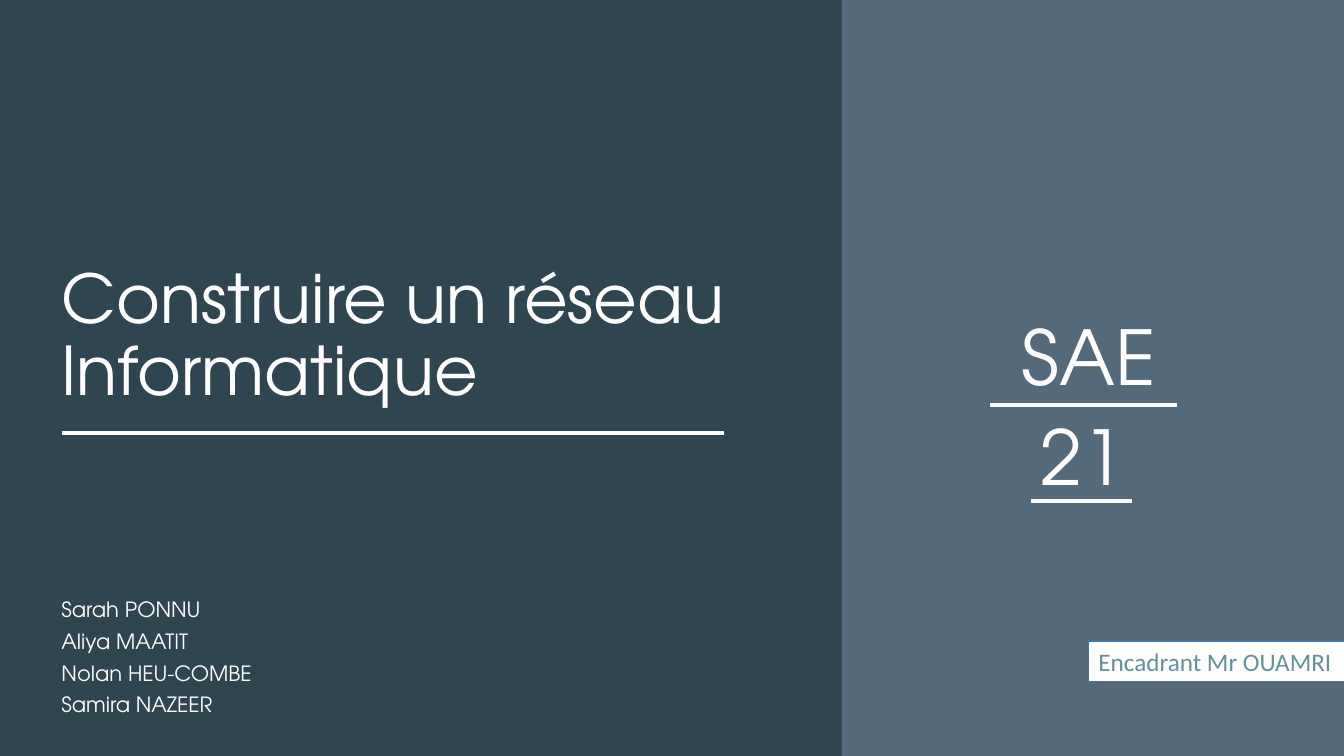
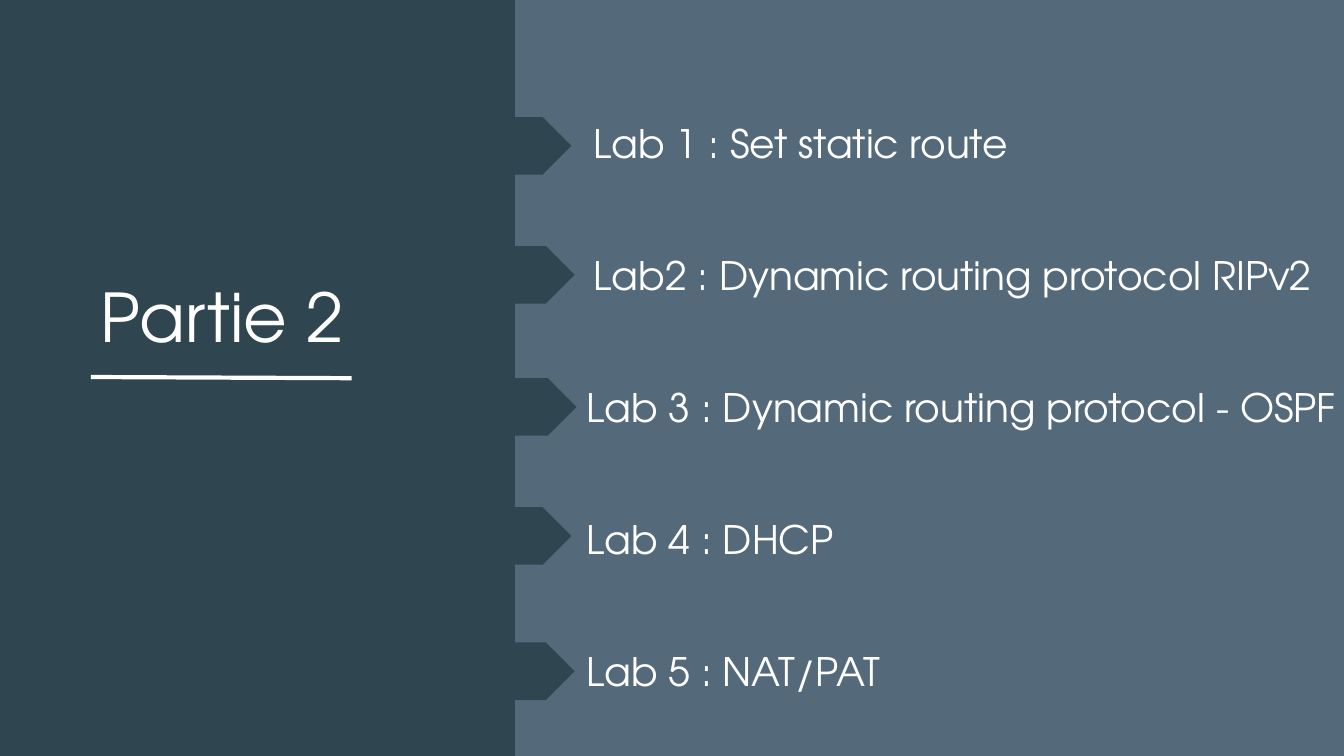
from dataclasses import dataclass

from lxml.etree import SubElement
from pptx import Presentation
from pptx.dml.color import RGBColor
from pptx.enum.shapes import MSO_CONNECTOR, MSO_SHAPE
from pptx.enum.text import MSO_ANCHOR, PP_ALIGN
from pptx.oxml.ns import qn
from pptx.util import Cm, Pt


@dataclass(frozen=True)
class Theme:
    background: RGBColor = RGBColor(0x54, 0x6A, 0x7B)
    band: RGBColor = RGBColor(0x2F, 0x45, 0x50)
    light: RGBColor = RGBColor(0xFF, 0xFF, 0xFF)
    tag_text: RGBColor = RGBColor(0x62, 0x92, 0x9E)
    tag_border: RGBColor = RGBColor(0x44, 0x72, 0xC4)
    font: str = "TeX Gyre Adventor"
    tag_font: str = "Calibri"
    code_size: int = 54
    title_size: int = 48
    lab_size: int = 28
    tag_size: int = 18
    author_size: int = 15
    rule_width: int = 3


THEME = Theme()
SLIDE_WIDTH, SLIDE_HEIGHT = 33.87, 19.05

COVER = {
    "band": 21.21,
    "title": ("Construire un réseau Informatique", (1.3, 4.65, 17.93, 5.82)),
    "rules": [
        ((1.55, 10.92), (18.24, 10.92)),
        ((24.94, 10.21), (29.67, 10.21)),
        ((25.98, 12.62), (28.52, 12.62)),
    ],
}
AUTHORS = ["Sarah PONNU", "Aliya MAATIT", "Nolan HEU-COMBE", "Samira NAZEER"]
COURSE, COURSE_NUMBER = "SAE", "21"
SUPERVISOR = "Encadrant Mr OUAMRI"

PART = {
    "band": 12.98,
    "title": ("Partie 2", (2.29, 6.78, 8.41, 2.34)),
    "rules": [((2.29, 9.5), (8.86, 9.53))],
}
LABS = [
    ("Lab 1 : Set static route", 14.71, 11.38, 0.08),
    ("Lab2 : Dynamic routing protocol RIPv2", 14.71, 11.46, 0),
    ("Lab 3 : Dynamic routing protocol - OSPF", 14.53, 11.51, 0),
    ("Lab 4 : DHCP", 14.53, 11.38, -0.08),
    ("Lab 5 : NAT/PAT", 14.53, 11.46, 0),
]
LAB_TOP, LAB_PITCH, LAB_HEIGHT = 2.87, 3.33, 1.45
MARKER_WIDTH = 3.02


def cm_all(lengths):
    return [Cm(length) for length in lengths]


def write(frame, lines, size, color=THEME.light, font=THEME.font,
          align=PP_ALIGN.LEFT, spacing=1.0, gap=0):
    frame.word_wrap = True
    for index, line in enumerate(lines):
        paragraph = frame.paragraphs[0] if index == 0 else frame.add_paragraph()
        paragraph.alignment = align
        paragraph.line_spacing = spacing
        paragraph.space_before = Pt(gap if index else 0)
        run = paragraph.add_run()
        run.text = line
        run.font.size = Pt(size)
        run.font.name = font
        run.font.color.rgb = color


def add_text(slide, place, lines, size, anchor=MSO_ANCHOR.TOP, **style):
    frame = slide.shapes.add_textbox(*cm_all(place)).text_frame
    frame.vertical_anchor = anchor
    write(frame, lines, size, **style)
    return frame


def add_block(slide, preset, place, fill, border=None):
    block = slide.shapes.add_shape(preset, *cm_all(place))
    block.shadow.inherit = False
    block.fill.solid()
    block.fill.fore_color.rgb = fill
    if border is None:
        block.line.fill.background()
    else:
        block.line.color.rgb = border
        block.line.width = Pt(1)
    return block


def add_rule(slide, start, end):
    rule = slide.shapes.add_connector(
        MSO_CONNECTOR.STRAIGHT, *cm_all(start + end))
    rule.line.color.rgb = THEME.light
    rule.line.width = Pt(THEME.rule_width)
    SubElement(rule.element.spPr, qn("a:effectLst"))


def add_base(deck, content):
    slide = deck.slides.add_slide(deck.slide_layouts[6])
    slide.background.fill.solid()
    slide.background.fill.fore_color.rgb = THEME.background
    add_block(slide, MSO_SHAPE.RECTANGLE,
              (0, 0, content["band"], SLIDE_HEIGHT), THEME.band)
    title, place = content["title"]
    add_text(slide, place, [title], THEME.title_size,
             anchor=MSO_ANCHOR.BOTTOM, spacing=0.9)
    for start, end in content["rules"]:
        add_rule(slide, start, end)
    return slide


def build_cover(deck):
    slide = add_base(deck, COVER)
    add_text(slide, (1.3, 15.09, 5.87, 3.12), AUTHORS, THEME.author_size,
             align=PP_ALIGN.JUSTIFY, spacing=0.7, gap=10)
    add_text(slide, (24.74, 8.31, 5.41, 1.88), [COURSE], THEME.code_size,
             align=PP_ALIGN.CENTER, spacing=0.7)
    add_text(slide, (25.98, 10.21, 2.92, 2.57), [COURSE_NUMBER],
             THEME.code_size)
    tag = add_block(slide, MSO_SHAPE.RECTANGLE, (27.43, 16.15, 6.88, 1.02),
                    THEME.light, THEME.tag_border)
    write(tag.text_frame, [SUPERVISOR], THEME.tag_size,
          color=THEME.tag_text, font=THEME.tag_font)


def build_part(deck):
    slide = add_base(deck, PART)
    for index, (lab, text_left, marker_left, marker_shift) in enumerate(LABS):
        top = LAB_TOP + index * LAB_PITCH
        add_block(slide, MSO_SHAPE.PENTAGON,
                  (marker_left, top + marker_shift, MARKER_WIDTH, LAB_HEIGHT),
                  THEME.band)
        frame = add_text(
            slide, (text_left, top, SLIDE_WIDTH - text_left, LAB_HEIGHT),
            [lab], THEME.lab_size)
        frame.margin_right = 0


def main():
    deck = Presentation()
    deck.slide_width, deck.slide_height = Cm(SLIDE_WIDTH), Cm(SLIDE_HEIGHT)
    build_cover(deck)
    build_part(deck)
    deck.save("out.pptx")


if __name__ == "__main__":
    main()
